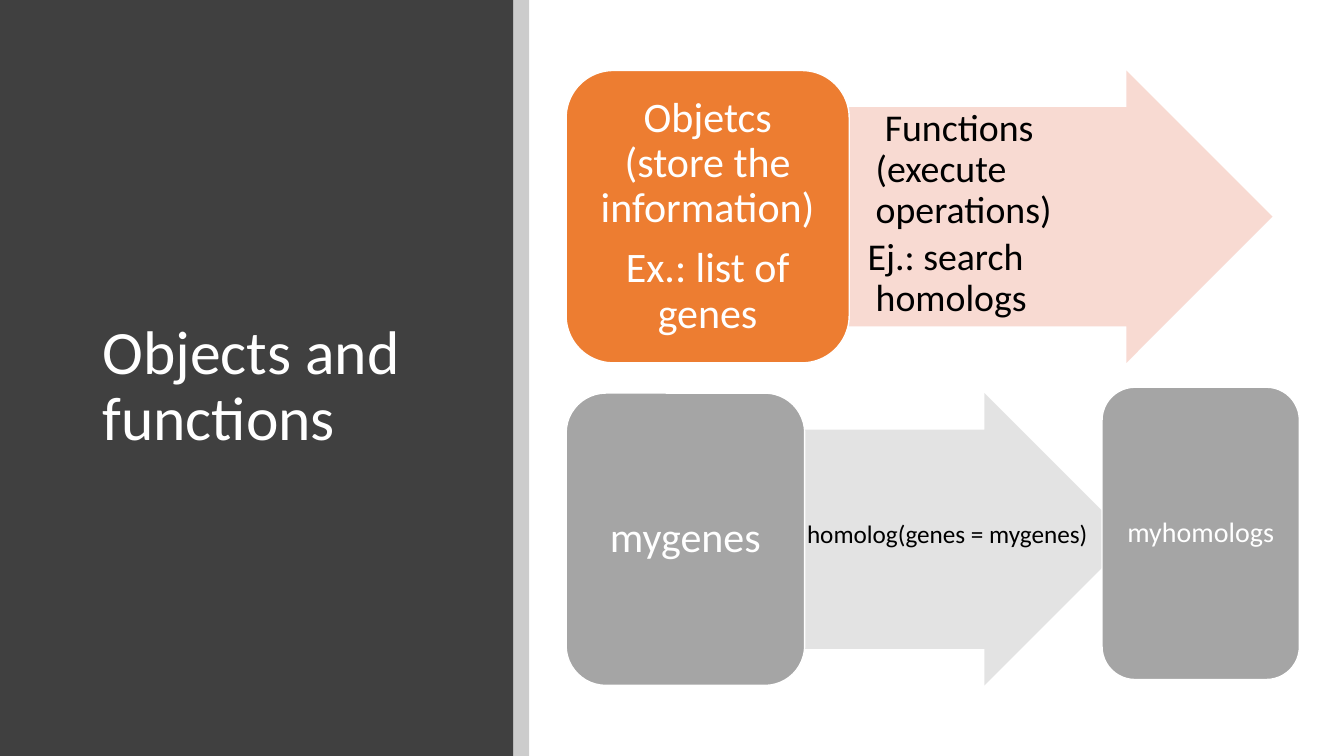
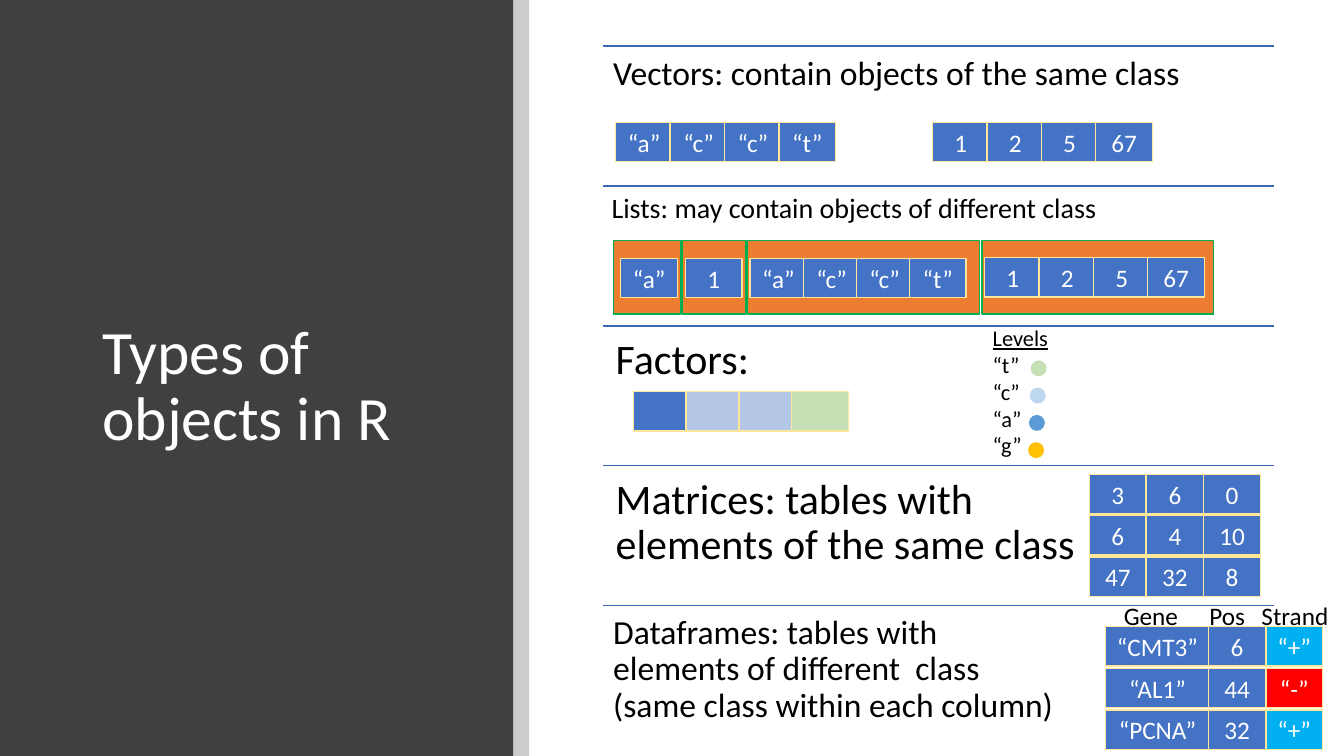
from lxml.etree import SubElement
from pptx import Presentation
from pptx.dml.color import RGBColor
from pptx.enum.shapes import MSO_CONNECTOR as Connector, MSO_SHAPE as Shape
from pptx.enum.text import MSO_ANCHOR as Anchor, PP_ALIGN as Align
from pptx.oxml.ns import qn
from pptx.util import Inches, Pt

# The slide is a grid of 160 columns by 90 rows of square units
COLUMNS, ROWS = 160, 90
UNIT = Inches(1) // 12
FONT = "Calibri"
COLORS = {
    "panel": "404040", "black": "000000", "white": "FFFFFF",
    "orange": "ED7D31", "peach": "F8D7CE", "gray": "A5A5A5", "silver": "E1E1E1",
    "rule": "3E67B2", "blue": "4472C4", "cream": "FFE699", "green line": "00B050",
    "pale blue": "B4C7E7", "pale green": "C5E0B4", "sky": "BDD7EE",
    "azure": "5B9BD5", "gold": "FFC000", "cyan": "00B0F0", "red": "FF0000",
}
CELL_WIDTH, CELL_HEIGHT = 6.75, 4.7


def grid(*lengths):
    return [round(length * UNIT) for length in lengths]


def paint(color_format, name, opacity=100):
    color_format.rgb = RGBColor.from_string(COLORS[name])
    if opacity < 100:
        color = color_format._xFill.find(".//" + qn("a:srgbClr"))
        SubElement(color, qn("a:alpha")).set("val", str(opacity * 1000))


def write(shape, lines, size, color, align=Align.LEFT, anchor=Anchor.TOP,
          insets=None, spacing=None, after=0, wrap=True):
    """Fill a shape with paragraphs; insets are points (sideways, upright)."""
    frame = shape.text_frame
    frame.word_wrap = wrap
    frame.vertical_anchor = anchor
    if insets:
        frame.margin_left = frame.margin_right = Pt(insets[0])
        frame.margin_top = frame.margin_bottom = Pt(insets[1])
    for index, line in enumerate(lines):
        paragraph = frame.add_paragraph() if index else frame.paragraphs[0]
        paragraph.text = line
        paragraph.alignment = align
        paragraph.line_spacing = spacing
        paragraph.space_after = Pt(size * after)
        font = paragraph.font
        font.name, font.size = FONT, Pt(size)
        font.color.rgb = RGBColor.from_string(COLORS[color])
    return frame.paragraphs


def add_text(slide, box, lines, size, color="black", **style):
    return write(slide.shapes.add_textbox(*grid(*box)), lines, size, color, **style)


def add_figure(slide, kind, box, fill, line=None, opacity=100):
    shape = slide.shapes.add_shape(kind, *grid(*box))
    shape.shadow.inherit = False
    shape.fill.solid()
    paint(shape.fill.fore_color, fill)
    if opacity < 100:
        color = shape.fill._xPr.find(".//" + qn("a:srgbClr"))
        SubElement(color, qn("a:alpha")).set("val", str(opacity * 1000))
    if line:
        shape.line.width = Pt(1)
        paint(shape.line.color, line)
    else:
        shape.line.fill.background()
    return shape


def add_block(slide, box, lines, size, fill):
    shape = add_figure(slide, Shape.ROUNDED_RECTANGLE, box, fill, "white")
    write(shape, lines, size, "white", Align.CENTER, Anchor.MIDDLE,
          insets=(8.5, 4.25), spacing=0.9, after=0.35)


def add_arrow(slide, box, fill):
    arrow = add_figure(slide, Shape.RIGHT_ARROW, box, fill, opacity=90)
    arrow.adjustments[0], arrow.adjustments[1] = 0.75, 0.5
    return arrow


def add_rule(slide, left, top, width):
    rule = slide.shapes.add_connector(
        Connector.STRAIGHT, *grid(left, top, left + width, top))
    rule.line.width = Pt(1)
    paint(rule.line.color, "rule")
    SubElement(rule._element.spPr, qn("a:effectLst"))


def add_cell(slide, left, top, text="", fill="blue", width=CELL_WIDTH):
    cell = add_figure(slide, Shape.RECTANGLE, (left, top, width, CELL_HEIGHT),
                      fill, "cream")
    if text:
        write(cell, [text], 18, "white", Align.CENTER, Anchor.MIDDLE)


def add_vector(slide, left, top, values, pitch=6.48):
    for index, value in enumerate(values):
        add_cell(slide, left + index * pitch, top, value)


def add_titled_slide(presentation, title):
    slide = presentation.slides.add_slide(presentation.slide_layouts[6])
    add_figure(slide, Shape.RECTANGLE, (0, 0, 61.1, ROWS), "panel")
    add_figure(slide, Shape.RECTANGLE, (61.1, 0, 1.9, ROWS), "black", opacity=20)
    add_text(slide, (11, 10.7, 43.8, 70.9), [title], 44, "white",
             anchor=Anchor.MIDDLE, spacing=0.9)
    return slide


def build_functions(presentation):
    slide = add_titled_slide(presentation, "Objects and functions")
    left, height = 67.4, 34.8

    # Concept: object and function
    arrow = add_arrow(slide, (101, 8.4, 50.5, height), "peach")
    paragraphs = write(
        arrow, ["Functions (execute operations)", "Ej.: search homologs"], 27,
        "black", insets=(1.5, 1.5), spacing=0.9, after=0.15)
    for paragraph, indent in zip(paragraphs, (0.09, -0.08)):
        properties = paragraph._p.get_or_add_pPr()
        properties.set("marL", str(Inches(0.25)))
        properties.set("indent", str(Inches(indent)))
    add_block(slide, (left, 8.4, 33.7, height),
              ["Objetcs (store the information)", "Ex.: list of genes"], 30, "orange")

    # Example: input, call and result
    add_arrow(slide, (94.4, 46.8, 40.2, height), "silver")
    add_block(slide, (left, 46.8, 28.4, height), ["mygenes"], 30, "gray")
    add_text(slide, (94.9, 61.1, 36.2, 4.8), ["homolog(genes = mygenes)"], 18, wrap=False)
    add_block(slide, (131.2, 46.1, 23.5, height), ["myhomologs"], 20, "gray")


def add_sections(slide):
    left, top, width, pitch = 71.8, 5.5, 79.9, 16.65
    sections = [
        ("Vectors: contain objects of the same class", 24),
        ("Lists: may contain objects of different class", 20),
        ("Factors:", 30),
        ("Matrices: tables with\velements of the same class", 30),
        ("Dataframes: tables with\velements of different  class\v"
         "(same class within each column)", 24),
    ]
    for index, (text, size) in enumerate(sections):
        row = top + index * pitch
        add_rule(slide, left, row, width)
        add_text(slide, (left, row, width, pitch), [text], size,
                 insets=(size * 0.3, size * 0.3), spacing=0.9, after=0.35)


def add_factor(slide):
    for index, fill in enumerate(["blue", "pale blue", "pale blue", "pale green"]):
        add_cell(slide, 75.4 + index * 6.28, 46.6, fill=fill)
    levels = {"“t”": "pale green", "“c”": "sky", "“a”": "azure", "“g”": "gold"}
    for index, fill in enumerate(levels.values()):
        add_figure(slide, Shape.OVAL, (122.7 - index * 0.1, 42.9 + index * 3.25, 1.9, 1.9), fill)
    paragraphs = add_text(slide, (117, 38, 11.3, 17.8), ["Levels", *levels], 16)
    paragraphs[0].font.underline = True


def add_dataframe(slide):
    fills = {"“+”": "cyan", "“-”": "red"}
    records = [("“CMT3”", "6", "“+”"), ("“AL1”", "44", "“-”"), ("“PCNA”", "32", "“+”")]
    columns = [(131.6, 12.4), (143.9, CELL_WIDTH), (150.7, CELL_WIDTH)]
    for index, record in enumerate(records):
        for value, (left, width) in zip(record, columns):
            add_cell(slide, left, 74.6 + index * 4.95, value, fills.get(value, "blue"), width)
    for name, left, width in [("Gene", 132.6, 9), ("Pos", 142.8, 6.7), ("Strand", 149, 10.4)]:
        add_text(slide, (left, 70.9, width, 4.8), [name], 18, wrap=False)


def build_types(presentation):
    slide = add_titled_slide(presentation, "Types of objects in R")
    letters, numbers = ["“a”", "“c”", "“c”", "“t”"], ["1", "2", "5", "67"]
    add_sections(slide)

    # Vectors
    add_vector(slide, 73.3, 14.55, letters)
    add_vector(slide, 111, 14.55, numbers)

    # List: one frame for each element
    for left, width in [(73, 8), (81.2, 7.6), (89, 27.6), (116.9, 27.6)]:
        add_figure(slide, Shape.RECTANGLE, (left, 28.6, width, 8.8), "orange", "green line")
    add_vector(slide, 73.9, 30.75, letters[:1])
    add_vector(slide, 81.6, 30.75, numbers[:1])
    add_vector(slide, 89.3, 30.75, letters, pitch=6.32)
    add_vector(slide, 117.2, 30.65, numbers)

    add_factor(slide)

    # Matrix
    for index, values in enumerate([("3", "6", "0"), ("6", "4", "10"), ("47", "32", "8")]):
        add_vector(slide, 129.7, 56.5 + index * 4.9, values, pitch=6.8)

    add_dataframe(slide)


def main():
    presentation = Presentation()
    presentation.slide_width, presentation.slide_height = grid(COLUMNS, ROWS)
    build_functions(presentation)
    build_types(presentation)
    presentation.save("out.pptx")


main()
